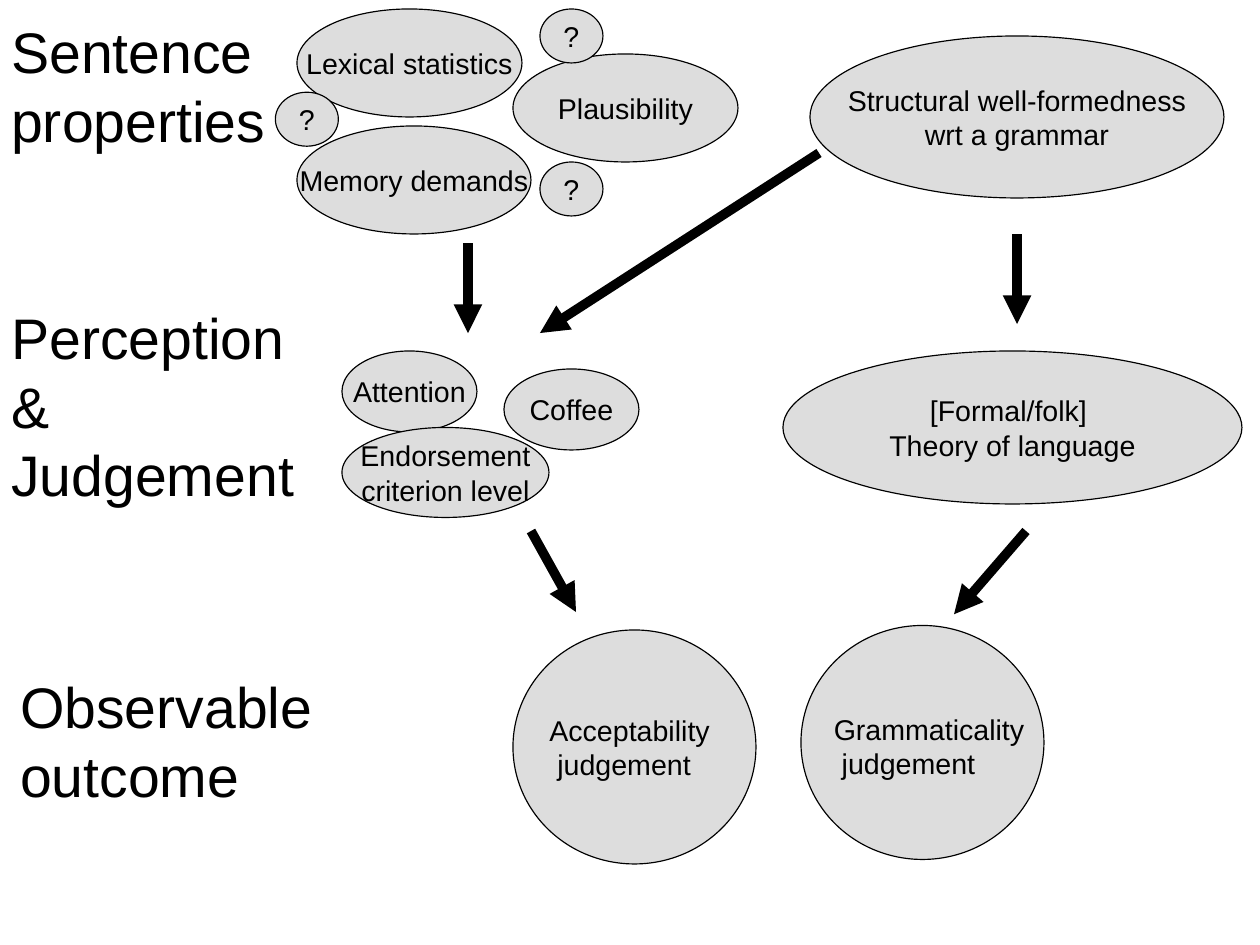
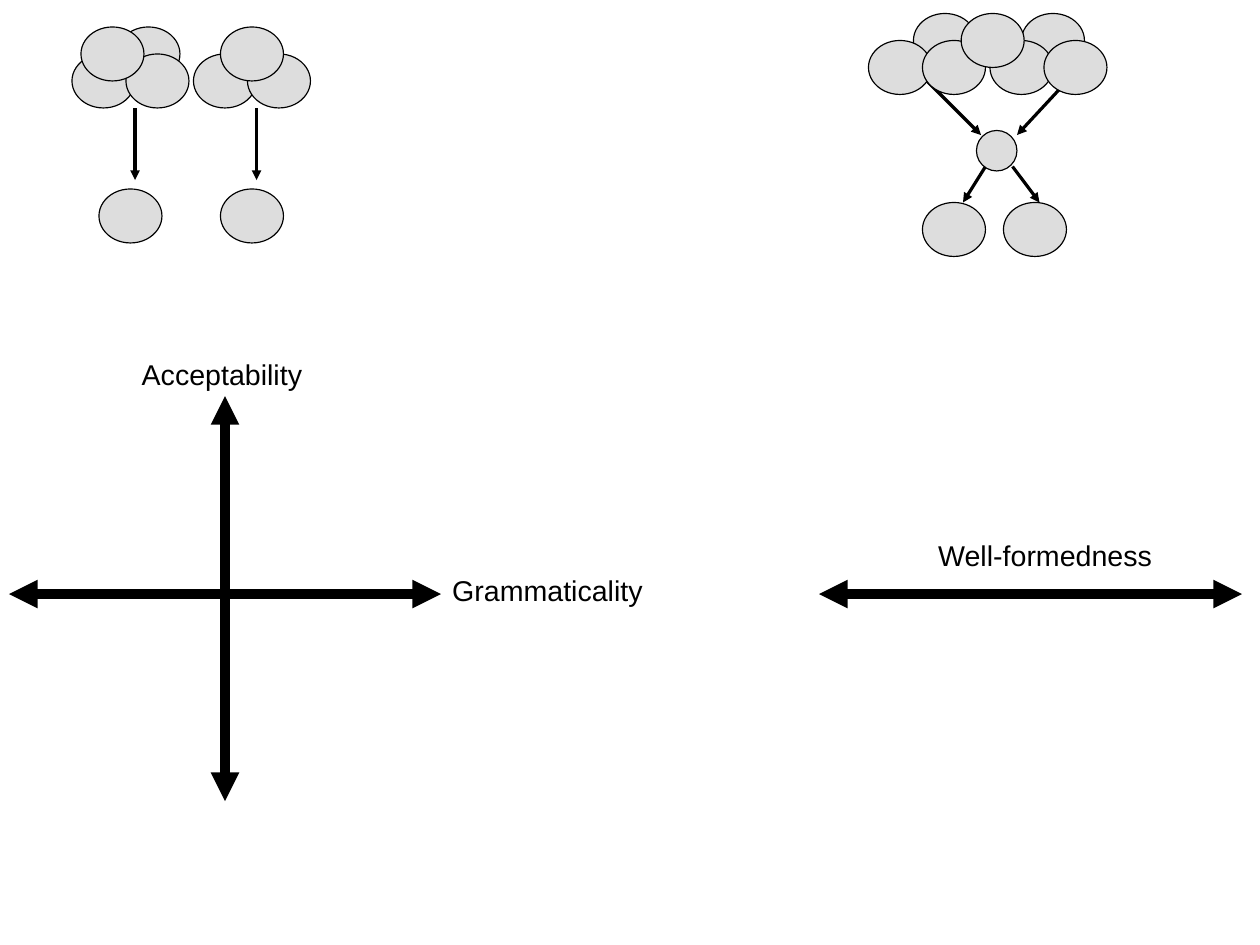
from dataclasses import dataclass

from lxml.etree import SubElement
from pptx import Presentation
from pptx.dml.color import RGBColor
from pptx.enum.shapes import MSO_CONNECTOR, MSO_SHAPE
from pptx.enum.text import MSO_ANCHOR, MSO_AUTO_SIZE, PP_ALIGN
from pptx.oxml.ns import qn
from pptx.slide import Slide
from pptx.text.text import TextFrame
from pptx.util import Emu, Mm, Pt

COLUMNS, ROWS = 140, 105
CELL = Mm(2)
BLACK = RGBColor(0x00, 0x00, 0x00)
GREY = RGBColor(0xDD, 0xDD, 0xDD)
FONT = "Arial"
BODY_SIZE, STAGE_SIZE = 18, 36
HAIRLINE, THICK = 0, 6
BUBBLE_WIDTH, BUBBLE_HEIGHT = 7, 6


@dataclass(frozen=True)
class Oval:
    column: float
    row: float
    width: float = BUBBLE_WIDTH
    height: float = BUBBLE_HEIGHT
    lines: tuple[str, ...] = ()


@dataclass(frozen=True)
class Label:
    column: float
    row: float
    width: float
    height: float
    lines: tuple[str, ...]
    size: int = BODY_SIZE


@dataclass(frozen=True)
class Arrow:
    start: tuple[float, float]
    end: tuple[float, float]
    weight: int = THICK
    double: bool = False


OUTCOMES = (
    Oval(89, 69.5, 27, 26),
    Oval(57, 70, 27, 26),
)
FACTOR_LABELS = (
    Label(59.8, 78.6, 21.1, 8.4, ("Acceptability", " judgement")),
    Label(91.4, 78.5, 24.6, 9, ("Grammaticality", " judgement")),
    Label(0, 1.25, 33, 16.6, ("Sentence properties",), STAGE_SIZE),
    Label(0, 33, 38, 29.7, ("Perception", "&", "Judgement"), STAGE_SIZE),
    Label(1, 74, 38, 20.7, ("Observable", "outcome"), STAGE_SIZE),
)
FACTORS = (
    Oval(33, 1, 25, 12, ("Lexical statistics",)),
    Oval(33, 14, 26, 12, ("Memory demands",)),
    Oval(57, 6, 25, 12, ("Plausibility",)),
    Oval(30.6, 10.25, lines=("?",)),
    Oval(60, 18, lines=("?",)),
    Oval(60, 1, lines=("?",)),
    Oval(90, 4, 46, 18, ("Structural well-formedness", "wrt a grammar")),
    Oval(38, 39, 15, 9, ("Attention",)),
    Oval(38, 47.5, 23, 10, ("Endorsement", "criterion level")),
    Oval(56, 41, 15, 9, ("Coffee",)),
    Oval(87, 39, 51, 17, ("[Formal/folk] ", "Theory of language")),
)
FACTOR_ARROWS = (
    Arrow((52, 27), (52, 37)),
    Arrow((113, 26), (113, 36)),
    Arrow((59, 59), (64, 68)),
    Arrow((114, 59), (106, 68.25)),
    Arrow((91, 17), (60, 37)),
)

CLOUD_ARROWS = (
    Arrow((15, 12), (15, 20), HAIRLINE),
    Arrow((28.5, 12), (28.5, 20), HAIRLINE),
    Arrow((102.5, 8.5), (109, 15), HAIRLINE),
    Arrow((119.5, 8), (113, 15), HAIRLINE),
    Arrow((112.5, 18.5), (115.5, 22.5), HAIRLINE),
    Arrow((109.5, 18.5), (107, 22.5), HAIRLINE),
)
CLOUD_POSITIONS = (
    (13, 3), (8, 6), (14, 6), (9, 3), (11, 21),
    (21.5, 6), (27.5, 6), (24.5, 3), (24.5, 21),
    (101.5, 1.5), (96.5, 4.5), (102.5, 4.5), (113.5, 1.5),
    (110, 4.5), (116, 4.5), (106.8, 1.5), (102.5, 22.5), (111.5, 22.5),
)
CLOUDS = tuple(Oval(column, row) for column, row in CLOUD_POSITIONS)
SHARED_NODE = Oval(108.5, 14.5, 4.5, 4.5)
AXES = (
    Arrow((91, 66), (138, 66), double=True),
    Arrow((1, 66), (49, 66), double=True),
    Arrow((25, 89), (25, 44), double=True),
)
AXIS_LABELS = (
    Label(103, 59.2, 28, 4.8, ("Well-formedness",)),
    Label(14.5, 39, 21, 4.8, ("Acceptability",)),
    Label(49, 63, 24, 4.9, ("Grammaticality",)),
)


def cells(*amounts: float) -> list[Emu]:
    return [Emu(round(amount * CELL)) for amount in amounts]


def write_lines(frame: TextFrame, lines: tuple[str, ...], size: int, alignment: PP_ALIGN) -> None:
    for index, line in enumerate(lines):
        paragraph = frame.add_paragraph() if index else frame.paragraphs[0]
        paragraph.alignment = alignment
        run = paragraph.add_run()
        run.text = line
        run.font.name = FONT
        run.font.size = Pt(size)
        run.font.color.rgb = BLACK


def draw_oval(slide: Slide, oval: Oval) -> None:
    shape = slide.shapes.add_shape(
        MSO_SHAPE.OVAL, *cells(oval.column, oval.row, oval.width, oval.height)
    )
    shape.shadow.inherit = False
    shape.fill.solid()
    shape.fill.fore_color.rgb = GREY
    shape.line.color.rgb = BLACK
    shape.line.width = Pt(HAIRLINE)
    frame = shape.text_frame
    frame.word_wrap = False
    frame.vertical_anchor = MSO_ANCHOR.MIDDLE
    write_lines(frame, oval.lines, BODY_SIZE, PP_ALIGN.CENTER)


def draw_label(slide: Slide, label: Label) -> None:
    shape = slide.shapes.add_textbox(
        *cells(label.column, label.row, label.width, label.height)
    )
    frame = shape.text_frame
    frame.word_wrap = True
    frame.auto_size = MSO_AUTO_SIZE.SHAPE_TO_FIT_TEXT
    write_lines(frame, label.lines, label.size, PP_ALIGN.LEFT)


def draw_arrow(slide: Slide, arrow: Arrow) -> None:
    connector = slide.shapes.add_connector(
        MSO_CONNECTOR.STRAIGHT, *cells(*arrow.start, *arrow.end)
    )
    connector.line.color.rgb = BLACK
    connector.line.width = Pt(arrow.weight)
    properties = connector.line._get_or_add_ln()
    for tag in ("a:headEnd", "a:tailEnd") if arrow.double else ("a:tailEnd",):
        SubElement(properties, qn(tag), type="triangle")
    SubElement(connector._element.spPr, qn("a:effectLst"))


def draw(slide: Slide, *groups: tuple[Oval | Label | Arrow, ...]) -> None:
    painters = {Oval: draw_oval, Label: draw_label, Arrow: draw_arrow}
    for group in groups:
        for item in group:
            painters[type(item)](slide, item)


def main() -> None:
    presentation = Presentation()
    presentation.slide_width, presentation.slide_height = cells(COLUMNS, ROWS)
    blank = presentation.slide_layouts[6]
    draw(presentation.slides.add_slide(blank), OUTCOMES, FACTOR_LABELS, FACTORS, FACTOR_ARROWS)
    draw(
        presentation.slides.add_slide(blank),
        CLOUD_ARROWS, CLOUDS, (SHARED_NODE,), AXES, AXIS_LABELS,
    )
    presentation.save("out.pptx")


if __name__ == "__main__":
    main()
